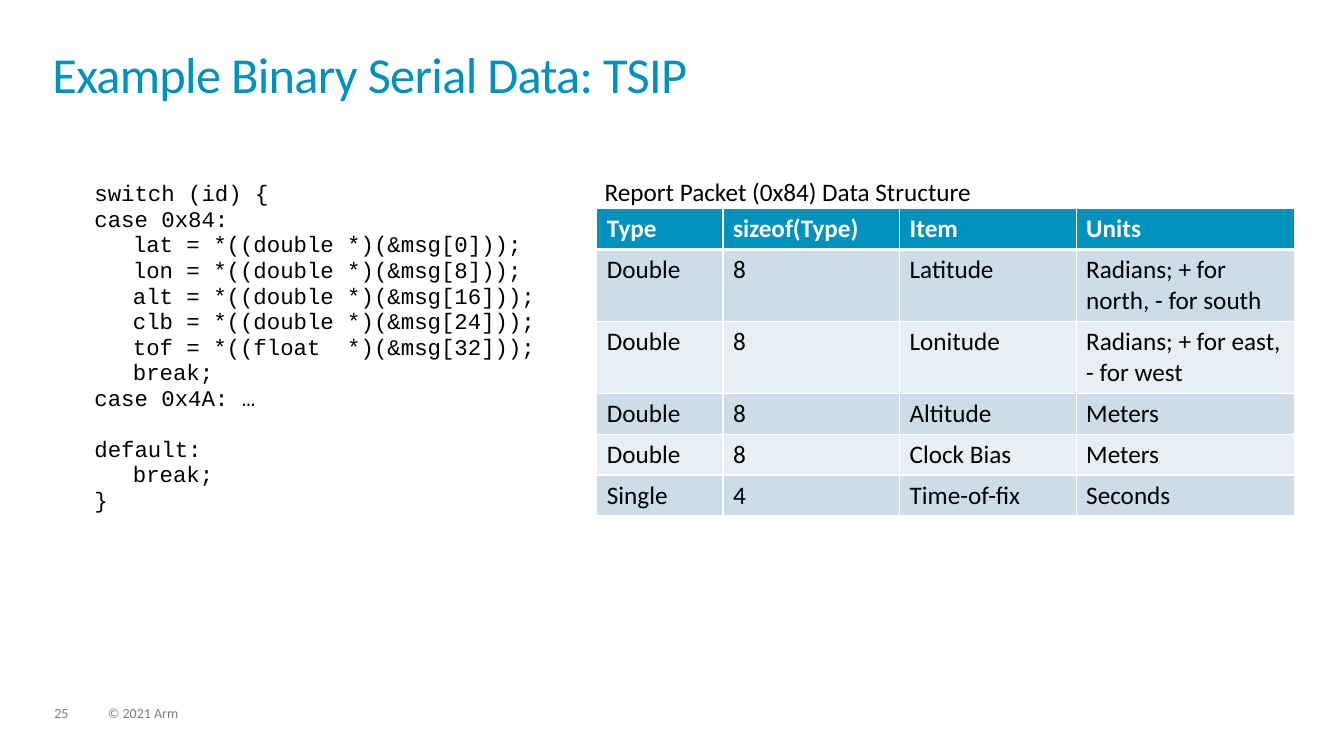
from lxml import etree
from pptx import Presentation
from pptx.dml.color import RGBColor
from pptx.enum.text import MSO_ANCHOR, MSO_AUTO_SIZE, PP_ALIGN
from pptx.oxml.ns import qn
from pptx.util import Cm, Pt

TOP, LEFT, NO_FIT = MSO_ANCHOR.TOP, PP_ALIGN.LEFT, MSO_AUTO_SIZE.NONE
BLUE = RGBColor(0x00, 0x91, 0xBD)
BAND = RGBColor(0xCC, 0xDC, 0xE8)
PALE = RGBColor(0xE7, 0xEE, 0xF4)
GRAY = RGBColor(0x7F, 0x7F, 0x7F)
BLACK = RGBColor(0, 0, 0)
WHITE = RGBColor(255, 255, 255)
SANS, MONO = "Calibri", "Courier New"

CODE = """switch (id) {
case 0x84:
\tlat = *((double *)(&msg[0]));
\tlon = *((double *)(&msg[8]));
\talt = *((double *)(&msg[16]));
\tclb = *((double *)(&msg[24]));
\ttof = *((float  *)(&msg[32]));
\tbreak;
case 0x4A: …
default:
\tbreak;
}"""

ROWS = [
    ("Type", "sizeof(Type)", "Item", "Units"),
    ("Double", "8", "Latitude", "Radians; + for north, - for south"),
    ("Double", "8", "Lonitude", "Radians; + for east, - for west"),
    ("Double", "8", "Altitude", "Meters"),
    ("Double", "8", "Clock Bias", "Meters"),
    ("Single", "4", "Time-of-fix", "Seconds"),
]
WIDTHS = (3.18, 4.45, 4.45, 5.51)
HEIGHTS = (1.03, 1.81, 1.81, 1.03, 1.03, 1.03)


def style(para, size, color, face=SANS, bold=False):
    for run in para.runs:
        font = run.font
        font.name, font.size, font.bold = face, Pt(size), bold
        font.color.rgb = color


def bare(frame, wrap=True):
    """Drop the margins and pin the text to the top."""
    frame.margin_left = frame.margin_right = 0
    frame.margin_top = frame.margin_bottom = 0
    frame.vertical_anchor, frame.auto_size = TOP, NO_FIT
    frame.word_wrap = wrap


def add_label(slide, text, box, size, color, wrap=True):
    frame = slide.shapes.add_textbox(*map(Cm, box)).text_frame
    bare(frame, wrap)
    frame.text = text
    style(frame.paragraphs[0], size, color)
    return frame.paragraphs[0]


def add_title(slide, text, box):
    title = slide.shapes.title
    title.left, title.top, title.width, title.height = map(Cm, box)
    bare(title.text_frame)
    title.text_frame.text = text
    para = title.text_frame.paragraphs[0]
    para.alignment, para.line_spacing = LEFT, 0.85
    style(para, 36, BLUE)
    para.runs[0].font._element.set("spc", "-50")


def add_code(slide, box):
    frame = slide.shapes.add_textbox(*map(Cm, box)).text_frame
    frame.word_wrap = True
    frame.text = CODE
    for para in frame.paragraphs:
        props = para._p.get_or_add_pPr()
        props.set("marL", str(Cm(0.97)))
        props.set("indent", str(-Cm(0.97)))
        para.line_spacing = 0.95
        if para.text == "default:":
            para.space_before = Pt(18.2)
        style(para, 16, BLACK, MONO)


def add_edges(cell, row):
    props = cell._tc.get_or_add_tcPr()
    for side in "LRTB":
        thick = (row, side) in ((0, "B"), (1, "T"))
        line = etree.SubElement(props, qn("a:ln" + side), w=str(Pt(3 if thick else 1)))
        fill = etree.SubElement(line, qn("a:solidFill"))
        etree.SubElement(fill, qn("a:srgbClr"), val=str(WHITE))


def add_packet(slide, left, top):
    """Caption with the packet table below it."""
    add_label(slide, "Report Packet (0x84) Data Structure",
              (left + 0.2, top, 10.16, 0.84), 18, BLACK, wrap=False)
    box = (left, top + 0.81, sum(WIDTHS), sum(HEIGHTS))
    table = slide.shapes.add_table(len(ROWS), len(WIDTHS), *map(Cm, box)).table
    for col, width in zip(table.columns, WIDTHS):
        col.width = Cm(width)
    for i, (texts, height) in enumerate(zip(ROWS, HEIGHTS)):
        table.rows[i].height = Cm(height)
        head = i == 0
        for j, text in enumerate(texts):
            cell = table.cell(i, j)
            add_edges(cell, i)
            cell.fill.solid()
            cell.fill.fore_color.rgb = BLUE if head else BAND if i % 2 else PALE
            cell.text = text
            style(cell.text_frame.paragraphs[0], 18, WHITE if head else BLACK, bold=head)


def add_footer(slide, left, top):
    for text, shift, width in (("25", 0, 0.86), ("© 2021 Arm", 1.35, 12.88)):
        para = add_label(slide, text, (left + shift, top, width, 0.38), 10, GRAY)
        para.line_spacing = 0.9


def main():
    deck = Presentation()
    deck.slide_width, deck.slide_height = Cm(33.87), Cm(19.05)
    slide = deck.slides.add_slide(deck.slide_layouts[5])
    add_footer(slide, 1.37, 17.81)
    add_title(slide, "Example Binary Serial Data: TSIP", (1.32, 1.32, 31.19, 1.83))
    add_code(slide, (2.13, 4.45, 16.92, 14.4))
    add_packet(slide, 15.04, 4.45)
    deck.save("out.pptx")


if __name__ == "__main__":
    main()
